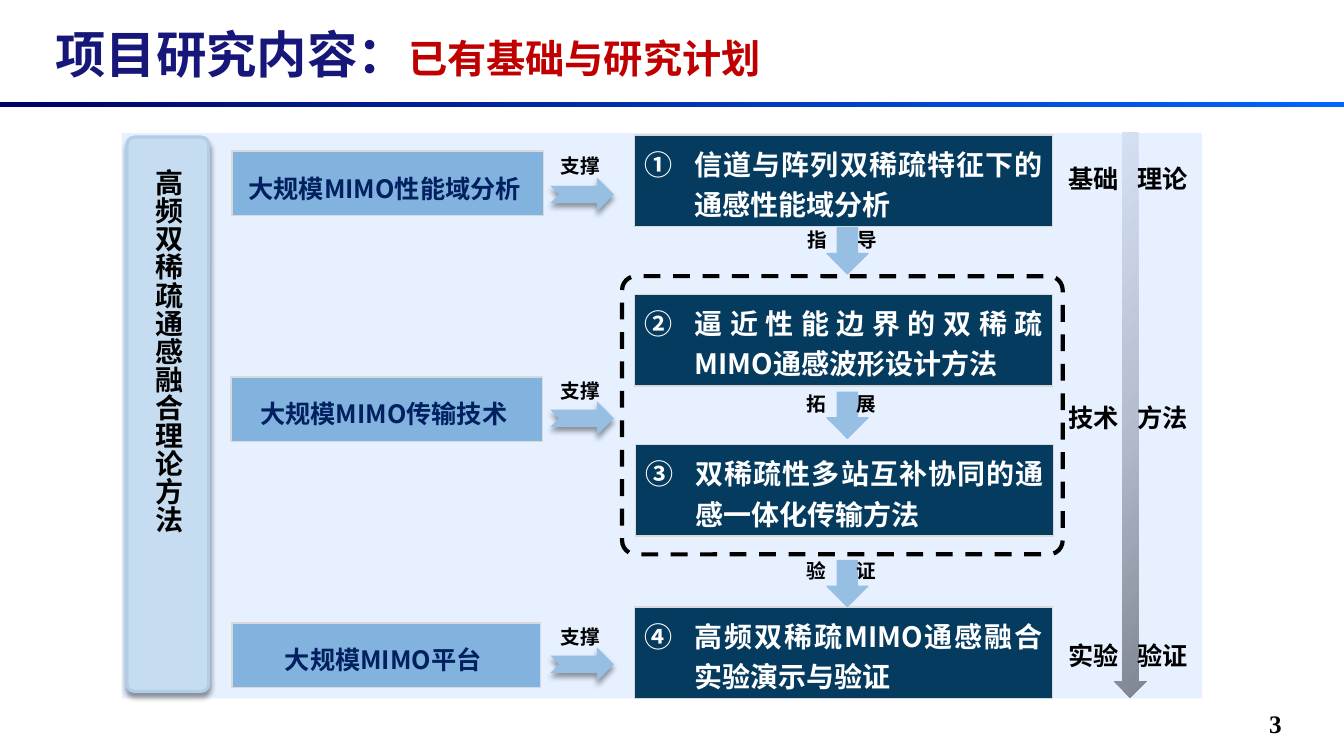
import lxml.etree
import pptx
import pptx.dml.color
import pptx.enum.dml
import pptx.enum.lang
import pptx.enum.shapes
import pptx.enum.text
import pptx.oxml
import pptx.oxml.ns
import pptx.util

Inches = pptx.util.Inches
Pt = pptx.util.Pt
SHAPE = pptx.enum.shapes.MSO_SHAPE
ALIGN = pptx.enum.text.PP_ALIGN
MIDDLE = pptx.enum.text.MSO_ANCHOR.MIDDLE
qn = pptx.oxml.ns.qn
NS = 'xmlns:a="http://schemas.openxmlformats.org/drawingml/2006/main"'
CJK = "Noto Sans CJK SC"

PANEL, NAVY, BLUE, ARROW = "E6F0FF", "053B5F", "82B2DE", "97BFE4"
BORDER, INK, BLACK, WHITE = "D9D9D9", "002060", "000000", "FFFFFF"


def color(hex_code):
    return pptx.dml.color.RGBColor.from_string(hex_code)


def add_box(slide, kind, at, fill=None, line=None, width=1, corner=None):
    box = slide.shapes.add_shape(kind, *map(Inches, at))
    box.shadow.inherit = False
    if fill:
        box.fill.solid()
        box.fill.fore_color.rgb = color(fill)
    else:
        box.fill.background()
    if line:
        box.line.color.rgb = color(line)
        box.line.width = Pt(width)
    else:
        box.line.fill.background()
    if corner is not None:
        box.adjustments[0] = corner
    return box


def add_gradient(box, stops, direction):
    """Replace the solid fill by a gradient; direction is its XML element."""
    marks = "".join(f'<a:gs pos="{pos * 1000}"><a:srgbClr val="{tone}"/></a:gs>'
                    for pos, tone in stops)
    gradient = pptx.oxml.parse_xml(
        f'<a:gradFill {NS} rotWithShape="1"><a:gsLst>{marks}</a:gsLst>{direction}</a:gradFill>')
    properties = box._element.spPr
    properties.replace(properties.find(qn("a:solidFill")), gradient)


def add_shadow(box):
    effects = box._element.spPr.find(qn("a:effectLst"))
    effects.append(pptx.oxml.parse_xml(
        f'<a:outerShdw {NS} blurRad="{Pt(4)}" dist="{Pt(3)}" dir="5400000" rotWithShape="0">'
        '<a:srgbClr val="000000"><a:alpha val="40000"/></a:srgbClr></a:outerShdw>'))


def write(shape, runs, align=ALIGN.LEFT, spacing=None, anchor=None):
    """Fill a shape with one paragraph of (text, size, colour, font) runs."""
    frame = shape.text_frame
    frame.word_wrap = True
    if anchor is not None:
        frame.vertical_anchor = anchor
    paragraph = frame.paragraphs[0]
    paragraph.alignment = align
    if spacing:
        paragraph.line_spacing = spacing
    for text, size, tone, font in runs:
        run = paragraph.add_run()
        run.text = text
        run.font.size = Pt(size)
        run.font.bold = True
        run.font.color.rgb = color(tone)
        run.font.name = font
        run.font.language_id = pptx.enum.lang.MSO_LANGUAGE_ID.SIMPLIFIED_CHINESE
        east_asian = lxml.etree.SubElement(run.font._element, qn("a:ea"))
        east_asian.set("typeface", CJK)
    return paragraph


def add_label(slide, at, runs, tab=None, **layout):
    """Text box; a tab stop parts the words on both sides of an arrow."""
    label = slide.shapes.add_textbox(*map(Inches, at))
    paragraph = write(label, runs, **layout)
    if tab:
        tabs = lxml.etree.SubElement(paragraph._p.get_or_add_pPr(), qn("a:tabLst"))
        stop = lxml.etree.SubElement(tabs, qn("a:tab"))
        stop.set("pos", str(Inches(tab)))
        stop.set("algn", "l")
    return label


def add_topic(slide, number, left, top, text):
    """Dark box with a circled number."""
    topic = add_box(slide, SHAPE.RECTANGLE, (left, top, 4.15, 0.91), NAVY, BORDER)
    paragraph = write(topic, [(text, 20, WHITE, CJK)], ALIGN.JUSTIFY, 1.2, MIDDLE)
    properties = paragraph._p.get_or_add_pPr()
    properties.set("marL", str(Inches(0.5)))
    properties.set("indent", str(-Inches(0.5)))
    bullet = lxml.etree.SubElement(properties, qn("a:buAutoNum"))
    bullet.set("type", "circleNumDbPlain")
    bullet.set("startAt", str(number))


def add_foundation(slide, left, top, width, text, arrow_top, label_top):
    """Existing work on the left, with its supporting arrow."""
    foundation = add_box(slide, SHAPE.RECTANGLE, (left, top, width, 0.64), BLUE, BORDER)
    write(foundation, [(text, 18, INK, CJK)], ALIGN.CENTER, 1.3, MIDDLE)
    foundation.text_frame.margin_left = Inches(0.04)
    arrow = add_box(slide, SHAPE.NOTCHED_RIGHT_ARROW, (5.46, arrow_top, 0.63, 0.34), ARROW)
    add_shadow(arrow)
    add_label(slide, (5.46, label_top, 0.72, 0.34), [("支撑", 14, BLACK, CJK)])


def add_step(slide, top, label_left, label_top, text):
    """Down arrow between two topics, its two characters beside it."""
    add_box(slide, SHAPE.DOWN_ARROW, (8.2, top, 0.41, 0.46), ARROW, ARROW, 0.75)
    add_label(slide, (label_left, label_top, 1.06, 0.34), [(text, 14, BLACK, CJK)], tab=0.5)


def main():
    deck = pptx.Presentation()
    deck.slide_width, deck.slide_height = Inches(13.33), Inches(7.5)
    slide = deck.slides.add_slide(deck.slide_layouts[6])

    # Header and page number
    rule = add_box(slide, SHAPE.RECTANGLE, (-0.01, 1.01, 13.35, 0.05), "000066")
    add_gradient(rule, [(0, "000066"), (100, "0066FF")], '<a:lin ang="0" scaled="1"/>')
    add_label(slide, (0.45, 0.24, 9.56, 0.58),
              [("项目研究内容：", 36, "17177A", "Montserrat"),
               ("已有基础与研究计划", 28, "C00000", "Montserrat")], anchor=MIDDLE)
    add_label(slide, (12.49, 6.98, 0.73, 0.39), [("3", 18, BLACK, "Times New Roman")])

    # Panel and vertical theme bar
    add_box(slide, SHAPE.RECTANGLE, (1.21, 1.32, 10.71, 5.61), PANEL)
    theme_bar = add_box(slide, SHAPE.ROUNDED_RECTANGLE, (1.26, 1.36, 0.81, 5.5),
                        "C6DCF0", "B0CEEA", 2.25, 0.09)
    add_shadow(theme_bar)
    theme = add_label(slide, (1.4, 1.58, 0.62, 4.89),
                      [("高频双稀疏通感融合理论方法", 20, BLACK, CJK)],
                      align=ALIGN.JUSTIFY, spacing=1.25, anchor=MIDDLE)
    theme.text_frame._txBody.bodyPr.set("vert", "eaVert")

    # Stage arrow and stages
    stage_arrow = add_box(slide, SHAPE.DOWN_ARROW, (11.05, 1.31, 0.32, 5.61), "B5BECF")
    add_gradient(stage_arrow, [(0, "7F8592"), (50, "B5BECF"), (100, "D7E1F6")],
                 '<a:path path="circle"><a:fillToRect l="100000" t="100000"/></a:path>')
    for top, stage in [(1.57, "基础\t理论"), (3.94, "技术\t方法"), (6.3, "实验\t验证")]:
        add_label(slide, (10.5, top, 1.52, 0.4), [(stage, 18, BLACK, CJK)],
                  tab=0.68, anchor=MIDDLE)

    # Research topics, the middle two framed together
    topics = [(6.29, 1.34, "信道与阵列双稀疏特征下的通感性能域分析"),
              (6.29, 2.92, "逼近性能边界的双稀疏MIMO通感波形设计方法"),
              (6.3, 4.41, "双稀疏性多站互补协同的通感一体化传输方法"),
              (6.29, 6.02, "高频双稀疏MIMO通感融合实验演示与验证")]
    for number, topic in enumerate(topics, start=1):
        add_topic(slide, number, *topic)
    method_frame = add_box(slide, SHAPE.ROUNDED_RECTANGLE, (6.17, 2.74, 4.37, 2.76),
                           line=BLACK, width=3, corner=0.05)
    method_frame.line.dash_style = pptx.enum.dml.MSO_LINE.DASH

    # Steps from topic to topic
    for step in [(2.26, 7.91, 2.21, "指\t导"), (3.89, 7.9, 3.84, "拓\t展"),
                 (5.56, 7.9, 5.5, "验\t证")]:
        add_step(slide, *step)

    # Existing foundations
    for foundation in [(2.3, 1.5, 3.09, "大规模MIMO性能域分析", 1.76, 1.48),
                       (2.29, 3.74, 3.09, "大规模MIMO传输技术", 3.98, 3.71),
                       (2.3, 6.18, 3.06, "大规模MIMO平台", 6.42, 6.15)]:
        add_foundation(slide, *foundation)

    deck.save("out.pptx")


if __name__ == "__main__":
    main()
